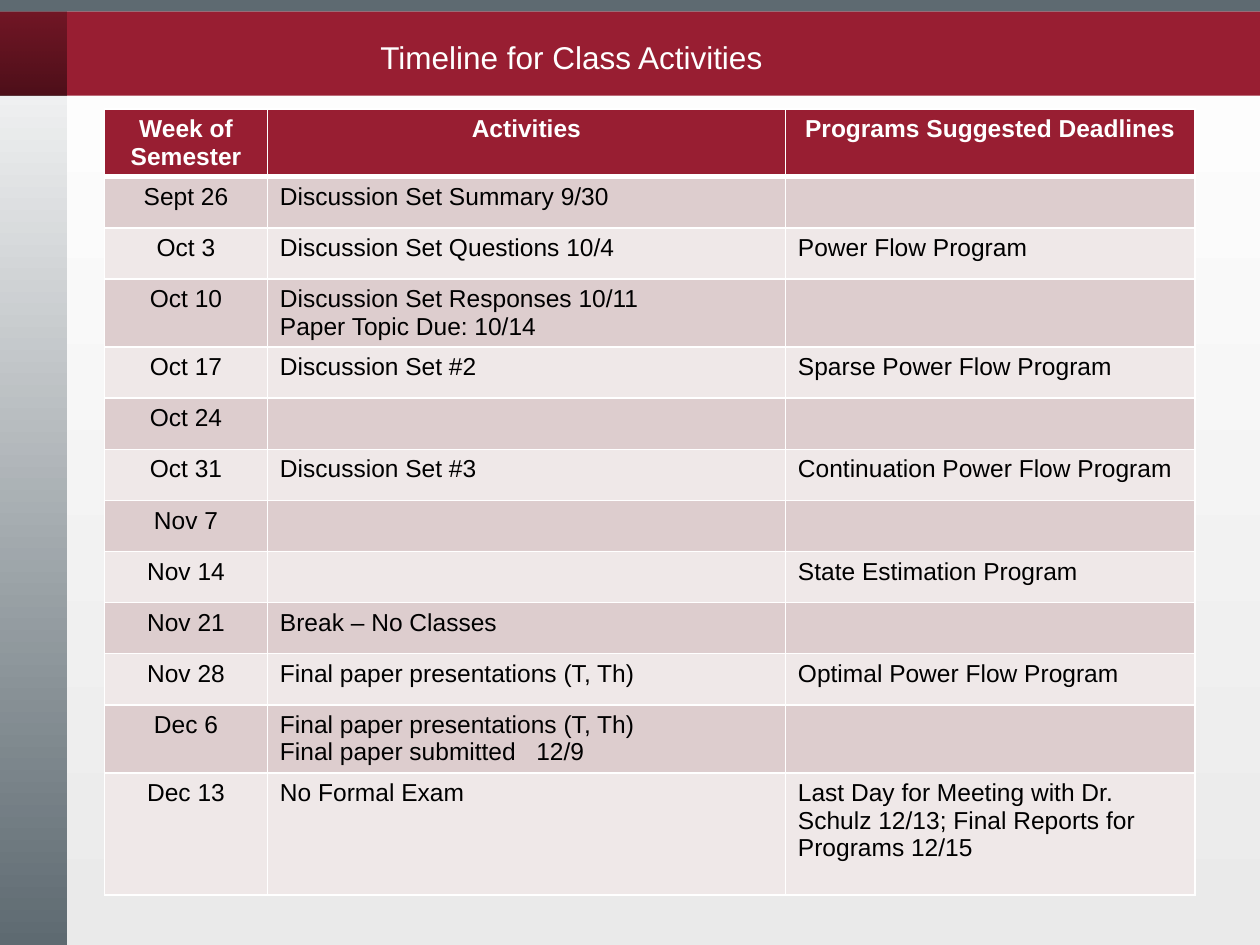
from lxml import etree
from pptx import Presentation
from pptx.dml.color import RGBColor
from pptx.enum import shapes, text
from pptx.oxml.ns import qn
from pptx.util import Pt

# Content
TITLE = "Timeline for Class Activities"
HEADINGS = ("Week of Semester", "Activities", "Programs Suggested Deadlines")
WEEKS = [
    ("Sept 26", "Discussion Set Summary 9/30", ""),
    ("Oct 3", "Discussion Set Questions 10/4", "Power Flow Program"),
    ("Oct 10", "Discussion Set Responses 10/11\nPaper Topic Due: 10/14", ""),
    ("Oct 17", "Discussion Set #2", "Sparse Power Flow Program"),
    ("Oct 24", "", ""),
    ("Oct 31", "Discussion Set #3", "Continuation Power Flow Program"),
    ("Nov 7", "", ""),
    ("Nov 14", "", "State Estimation Program"),
    ("Nov 21", "Break – No Classes", ""),
    ("Nov 28", "Final paper presentations (T, Th)", "Optimal Power Flow Program"),
    ("Dec 6", "Final paper presentations (T, Th)\nFinal paper submitted\t12/9", ""),
    ("Dec 13", "No Formal Exam",
     "Last Day for Meeting with Dr. Schulz 12/13; Final Reports for Programs 12/15"),
]

# Format
CRIMSON, SLATE, WHITE, BLACK = "981E32", "5E6A71", "FFFFFF", "000000"
BANDS = ("DDCDCE", "EFE8E8")
COLUMN_WIDTHS = (93, 296, 234)
HEADING_HEIGHT, WEEK_HEIGHT, TWO_LINE_HEIGHT, LAST_HEIGHT = 38.6, 29.2, 39, 69.6
DATE_TAB = 146.5
HEADING_FONT = {"name": "Arial", "size": Pt(14), "bold": True}
WEEK_FONT = {**HEADING_FONT, "bold": False}
TITLE_FONT = {"name": "Arial", "size": Pt(18), "bold": False}

# Bars: left, top, width, height, colours, opacities in percent
BARS = [
    (0, 0, 38.2, 540, (SLATE, WHITE), ()),
    (0, 6.5, 720, 48.2, (CRIMSON,), ()),
    (-1.4, 6.5, 39.6, 48.2, (BLACK, BLACK), (50, 25)),
    (-1.4, 0, 721.4, 6.5, (SLATE,), ()),
]


def rgb(value):
    return RGBColor.from_string(value)


def paint(fill, colours, angle=90):
    if len(colours) == 1:
        fill.solid()
        fill.fore_color.rgb = rgb(colours[0])
        return
    fill.gradient()
    fill.gradient_angle = angle
    for stop, colour in zip(fill.gradient_stops, colours):
        stop.color.rgb = rgb(colour)


def style(paragraph, font, colour, align):
    paragraph.alignment = align
    for run in paragraph.runs:
        for key, value in font.items():
            setattr(run.font, key, value)
        run.font.color.rgb = rgb(colour)


def add_tab(paragraph, position):
    tabs = etree.SubElement(paragraph._p.get_or_add_pPr(), qn("a:tabLst"))
    etree.SubElement(tabs, qn("a:tab"), pos=str(Pt(position)), algn="l")


def add_borders(cell, top, bottom):
    properties = cell._tc.get_or_add_tcPr()
    sides = (("lnL", 1), ("lnR", 1), ("lnT", top), ("lnB", bottom))
    for index, (side, width) in enumerate(sides):
        line = etree.Element(qn("a:" + side), w=str(Pt(width)))
        solid = etree.SubElement(line, qn("a:solidFill"))
        etree.SubElement(solid, qn("a:srgbClr"), val=WHITE)
        properties.insert(index, line)


def row_height(row):
    if row == 0:
        return HEADING_HEIGHT
    if row == len(WEEKS):
        return LAST_HEIGHT
    return TWO_LINE_HEIGHT if "\n" in WEEKS[row - 1][1] else WEEK_HEIGHT


def add_bars(slide):
    for left, top, width, height, colours, opacities in BARS:
        bar = slide.shapes.add_shape(shapes.MSO_SHAPE.RECTANGLE,
                                     Pt(left), Pt(top), Pt(width), Pt(height))
        bar.shadow.inherit = False
        bar.line.fill.background()
        paint(bar.fill, colours)
        stops = bar._element.spPr.iter(qn("a:srgbClr"))
        for stop, opacity in zip(stops, opacities):
            etree.SubElement(stop, qn("a:alpha"), val=str(opacity * 1000))


def add_timeline(slide):
    rows = [HEADINGS] + WEEKS
    heights = [row_height(row) for row in range(len(rows))]
    timeline = slide.shapes.add_table(
        len(rows), len(HEADINGS), Pt(59.8), Pt(62.3),
        Pt(sum(COLUMN_WIDTHS)), Pt(sum(heights))).table
    for column, width in zip(timeline.columns, COLUMN_WIDTHS):
        column.width = Pt(width)
    for r, (entries, height) in enumerate(zip(rows, heights)):
        timeline.rows[r].height = Pt(height)
        heading = r == 0
        for c, entry in enumerate(entries):
            cell = timeline.cell(r, c)
            paint(cell.fill, (CRIMSON if heading else BANDS[(r - 1) % 2],))
            add_borders(cell, 3 if r == 1 else 1, 3 if heading else 1)
            cell.text_frame.text = entry
            centred = heading or c == 0
            for paragraph in cell.text_frame.paragraphs:
                if "\t" in paragraph.text:
                    add_tab(paragraph, DATE_TAB)
                style(paragraph, HEADING_FONT if heading else WEEK_FONT,
                      WHITE if heading else BLACK,
                      text.PP_ALIGN.CENTER if centred else text.PP_ALIGN.LEFT)


def place_title(slide):
    title = slide.shapes.title
    title.left, title.top, title.width, title.height = Pt(142), Pt(18), Pt(369), Pt(29)
    title.text_frame.text = TITLE
    title.text_frame.vertical_anchor = text.MSO_ANCHOR.MIDDLE
    style(title.text_frame.paragraphs[0], TITLE_FONT, WHITE, text.PP_ALIGN.CENTER)
    # Bring the title in front of the bars
    slide.shapes._spTree.append(title._element)


def main():
    deck = Presentation()
    deck.slide_width, deck.slide_height = Pt(720), Pt(540)
    slide = deck.slides.add_slide(deck.slide_layouts[5])
    paint(slide.background.fill, (WHITE, "EAEAEA"), 270)
    add_bars(slide)
    add_timeline(slide)
    place_title(slide)
    deck.save("out.pptx")


if __name__ == "__main__":
    main()
